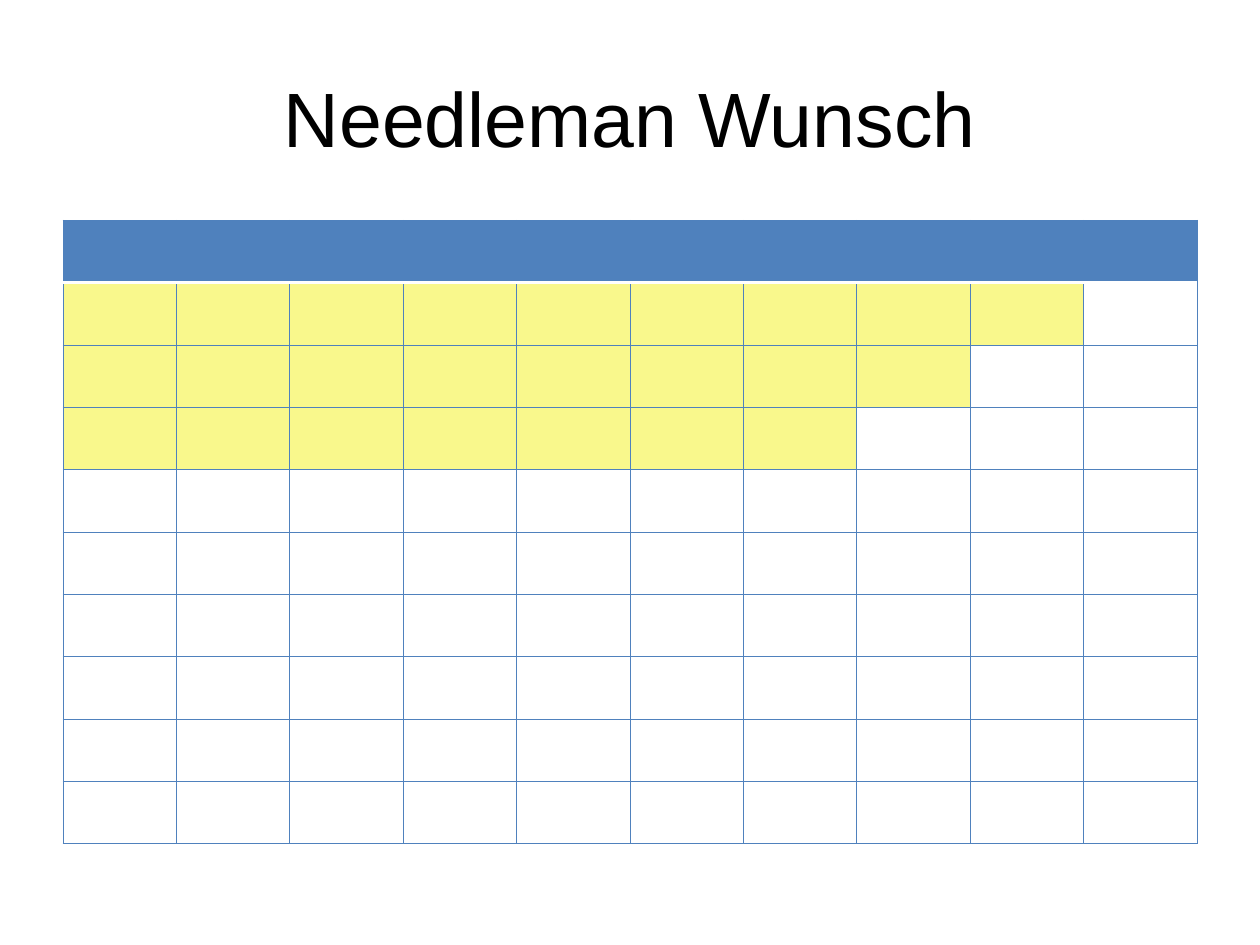
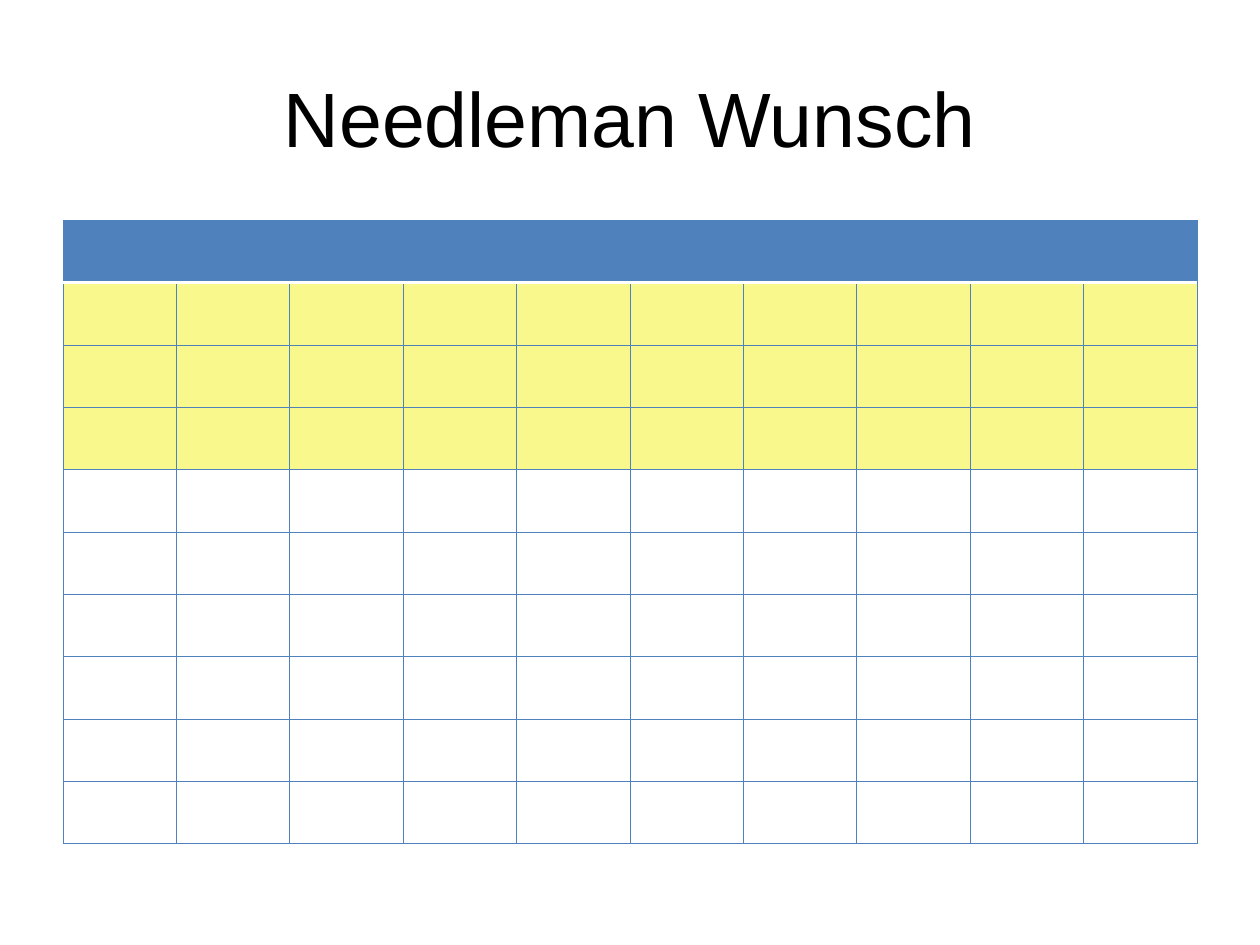
from dataclasses import dataclass

from lxml.etree import SubElement
from pptx import Presentation
from pptx.dml.color import RGBColor
from pptx.enum.text import MSO_VERTICAL_ANCHOR as Anchor, PP_PARAGRAPH_ALIGNMENT as Align
from pptx.oxml.ns import qn
from pptx.util import Cm, Pt


@dataclass(frozen=True)
class Theme:
    font: str = "Arial"
    title_size: float = 44
    ink: str = "000000"
    header: str = "4F81BD"
    computed: str = "F9F88C"
    paper: str = "FFFFFF"
    grid_width: float = 0.45
    divider_width: float = 1.47


@dataclass(frozen=True)
class Area:
    left: float
    top: float
    width: float
    height: float

    def place(self) -> tuple:
        return Cm(self.left), Cm(self.top), Cm(self.width), Cm(self.height)


@dataclass(frozen=True)
class Border:
    color: str
    width: float


@dataclass(frozen=True)
class MatrixPage:
    title: str
    computed_cells: tuple  # computed cells in each row below the header


THEME = Theme()
GRID = Border(THEME.header, THEME.grid_width)
DIVIDER = Border(THEME.paper, THEME.divider_width)
TITLE_AREA = Area(1.27, 0.76, 22.86, 3.18)
MATRIX_AREA = Area(1.27, 4.44, 22.86, 12.57)
SIZE = 10
TITLE_ONLY = 5

PAGES = (
    MatrixPage("Needleman Wunsch", (9, 8, 7)),
    MatrixPage("Needleman Wunsch", (SIZE, SIZE, SIZE)),
)


def add_title(page, text: str) -> None:
    box = page.shapes.title
    box.left, box.top, box.width, box.height = TITLE_AREA.place()
    frame = box.text_frame
    frame.text = text
    frame.vertical_anchor = Anchor.MIDDLE
    para = frame.paragraphs[0]
    para.alignment = Align.CENTER
    font = para.runs[0].font
    font.name = THEME.font
    font.size = Pt(THEME.title_size)
    font.color.rgb = RGBColor.from_string(THEME.ink)


def set_border(cell, side: str, border: Border) -> None:
    properties = cell._tc.get_or_add_tcPr()
    line = SubElement(properties, qn(f"a:ln{side}"), w=str(int(Pt(border.width))))
    fill = SubElement(line, qn("a:solidFill"))
    SubElement(fill, qn("a:srgbClr"), val=border.color)


def style_cell(cell, row: int, color: str | None) -> None:
    # Borders come before the fill in the cell properties
    set_border(cell, "L", GRID)
    set_border(cell, "R", GRID)
    set_border(cell, "T", DIVIDER if row == 1 else GRID)
    set_border(cell, "B", DIVIDER if row == 0 else GRID)
    if color:
        cell.fill.solid()
        cell.fill.fore_color.rgb = RGBColor.from_string(color)
    else:
        cell.fill.background()


def add_matrix(page, computed_cells: tuple) -> None:
    table = page.shapes.add_table(SIZE, SIZE, *MATRIX_AREA.place()).table
    table.horz_banding = False
    for row in range(SIZE):
        computed = computed_cells[row - 1] if 1 <= row <= len(computed_cells) else 0
        for column in range(SIZE):
            if row == 0:
                color = THEME.header
            else:
                color = THEME.computed if column < computed else None
            style_cell(table.cell(row, column), row, color)


def main() -> None:
    deck = Presentation()
    deck.slide_width, deck.slide_height = Cm(25.4), Cm(19.05)
    for content in PAGES:
        page = deck.slides.add_slide(deck.slide_layouts[TITLE_ONLY])
        add_title(page, content.title)
        add_matrix(page, content.computed_cells)
    deck.save("out.pptx")


if __name__ == "__main__":
    main()
